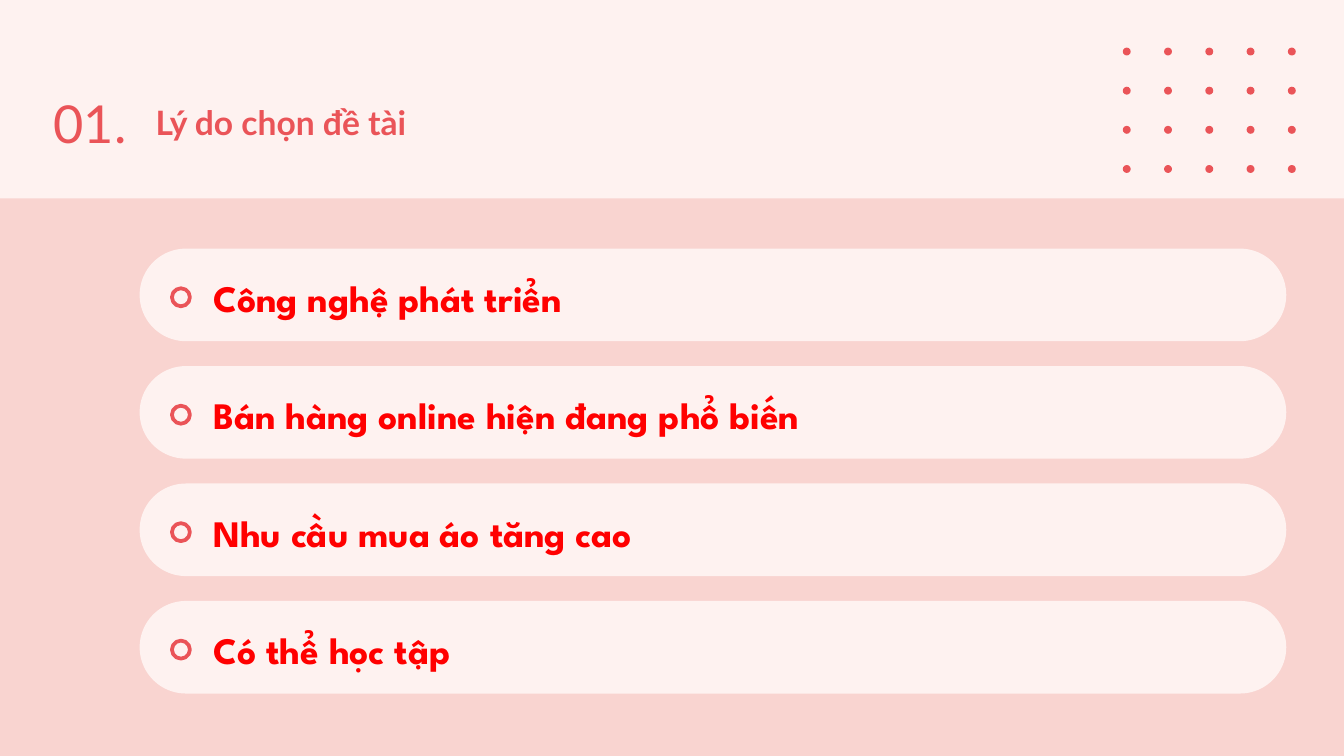
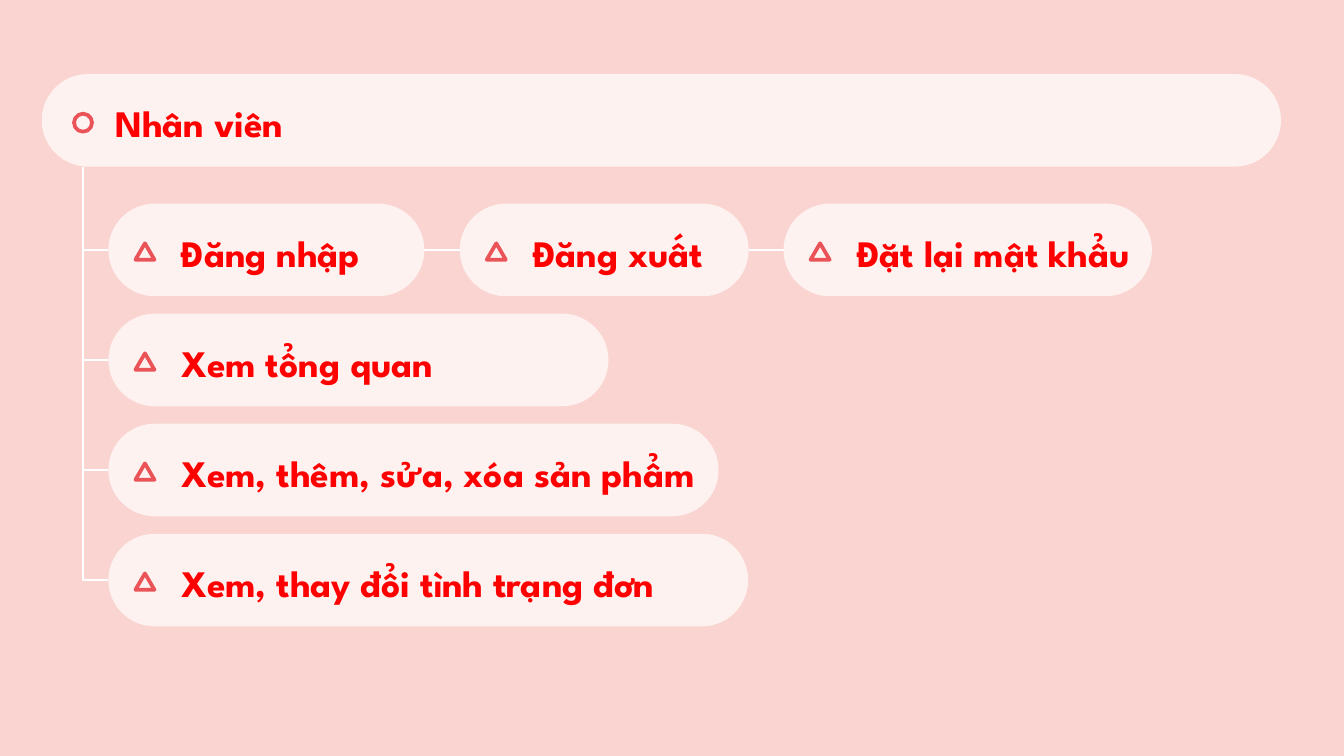
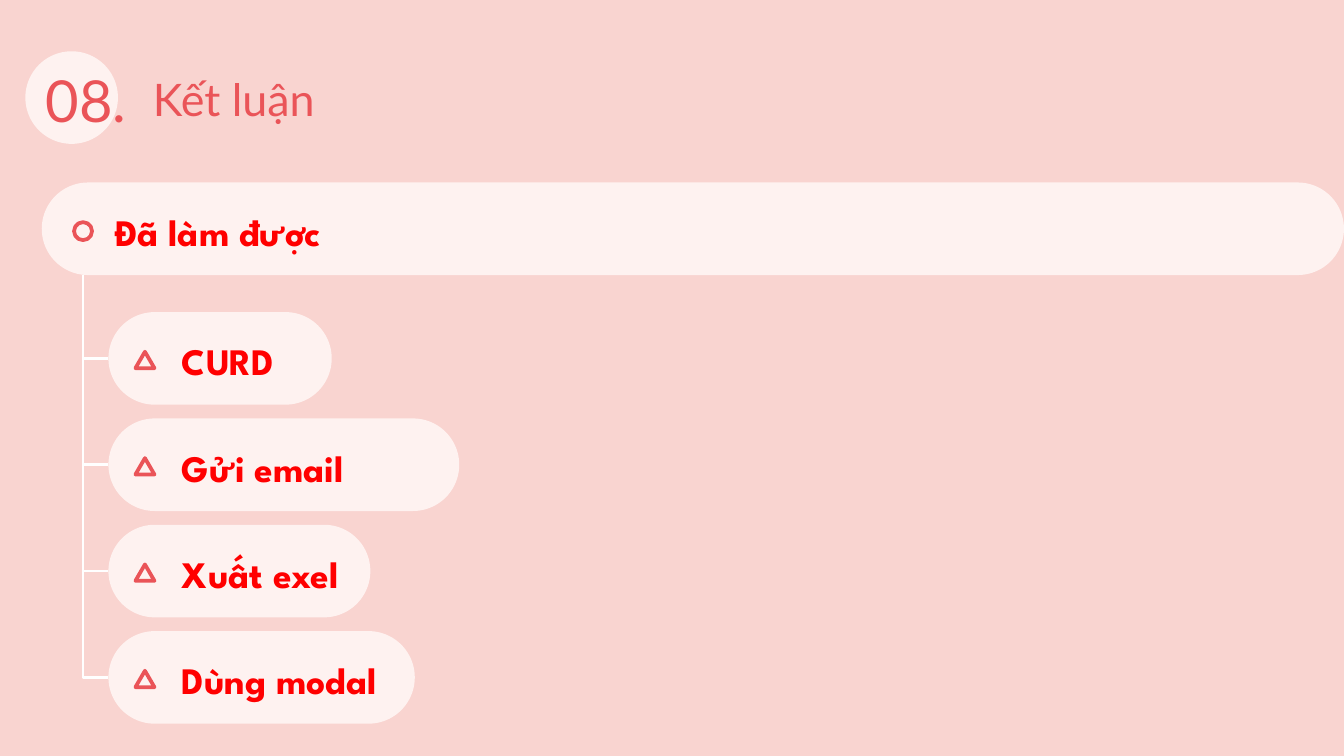
from itertools import product

from lxml import etree
from pptx import Presentation
from pptx.dml.color import RGBColor
from pptx.enum import shapes, text
from pptx.oxml.ns import qn
from pptx.util import Cm, Pt

CREAM = RGBColor(0xFE, 0xF2, 0xF0)
PINK = RGBColor(0xF9, 0xD4, 0xD0)
CORAL = RGBColor(0xEA, 0x54, 0x58)
RED = RGBColor(0xFF, 0x00, 0x00)
WHITE = RGBColor(0xFF, 0xFF, 0xFF)
TITLE_FONT, ITEM_FONT = "Lato", "League Spartan"
SHAPE = shapes.MSO_SHAPE
PILL_HEIGHT = 1.75
CHILD_LEFT = 2.05
CHILD_DROP = 2.45
TRUNK = 1.57


class Outline:
    """Draws pill lists and trees in one pink style, all lengths in centimetres."""

    def __init__(self):
        self.deck = Presentation()
        self.deck.slide_width, self.deck.slide_height = Cm(25.4), Cm(14.29)
        self.page = None

    def new_page(self, band_left, band_top, band_height):
        self.page = self.deck.slides.add_slide(self.deck.slide_layouts[6])
        self.page.background.fill.solid()
        self.page.background.fill.fore_color.rgb = CREAM
        self.shape(SHAPE.RECTANGLE, band_left, band_top, 26.85, band_height, PINK)

    def shape(self, kind, left, top, width, height, fill=None, line=None):
        figure = self.page.shapes.add_shape(kind, Cm(left), Cm(top), Cm(width), Cm(height))
        figure.shadow.inherit = False
        if fill is None:
            figure.fill.background()
        else:
            figure.fill.solid()
            figure.fill.fore_color.rgb = fill
        if line is None:
            figure.line.fill.background()
        else:
            figure.line.color.rgb = line
            figure.line.width = Pt(2)
        return figure

    def label(self, words, left, top, width, height, font, size, color,
              bold=False, align=text.PP_ALIGN.LEFT, inset=None):
        box = self.page.shapes.add_textbox(Cm(left), Cm(top), Cm(width), Cm(height))
        frame = box.text_frame
        frame.word_wrap = True
        frame.vertical_anchor = text.MSO_ANCHOR.MIDDLE
        if inset is not None:
            frame.margin_top = frame.margin_bottom = Cm(inset)
        para = frame.paragraphs[0]
        para.alignment = align
        span = para.add_run()
        span.text = words
        span.font.name, span.font.size, span.font.bold = font, Pt(size), bold
        span.font.color.rgb = color

    def heading(self, number, title, left, top, number_size, title_size, bold=False):
        self.shape(SHAPE.OVAL, left, top, PILL_HEIGHT, PILL_HEIGHT, CREAM)
        self.label(title, left + 2.16, top + 0.19, 9.19, 1.42,
                   TITLE_FONT, title_size, CORAL, bold, inset=0.25)
        self.label(number, 0, top + 0.2, 2.64, 1.42, TITLE_FONT, number_size, CORAL,
                   align=text.PP_ALIGN.RIGHT, inset=0.25)

    def dots(self, left, top):
        for column, row in product(range(5), range(4)):
            self.shape(SHAPE.OVAL, left + column * 0.78, top + row * 0.74, 0.15, 0.15, CORAL)

    def pill(self, words, left, top, width, text_width):
        pill = self.shape(SHAPE.ROUNDED_RECTANGLE, left, top, width, PILL_HEIGHT, CREAM)
        pill.adjustments[0] = 0.5
        self.label(words, left + 1.14, top + 0.36, text_width, 1.12,
                   ITEM_FONT, 20, RED, bold=True)
        return pill

    def main_pill(self, words, left, top, width, text_width=11.89):
        self.pill(words, left, top, width, text_width)
        self.shape(SHAPE.OVAL, left + 0.61, top + 0.75, 0.34, 0.34, line=CORAL)

    def child_pill(self, words, left, top, width, text_width):
        self.shape_below = self.pill(words, left, top, width, text_width)
        self.shape(SHAPE.ISOSCELES_TRIANGLE, left + 0.51, top + 0.75, 0.36, 0.31, line=CORAL)
        return self.shape_below

    def connector(self, kind, left, top, right, bottom):
        link = self.page.shapes.add_connector(kind, Cm(left), Cm(top), Cm(right), Cm(bottom))
        link.line.color.rgb = WHITE
        link.line.width = Pt(1.5)
        etree.SubElement(link._element.spPr, qn("a:effectLst"))
        return link

    def branch(self, start, end):
        middle_x, middle_y = (TRUNK + CHILD_LEFT) / 2, (start + end) / 2
        half_run, half_drop = (CHILD_LEFT - TRUNK) / 2, (end - start) / 2
        link = self.connector(shapes.MSO_CONNECTOR.ELBOW,
                              middle_x - half_drop, middle_y - half_run,
                              middle_x + half_drop, middle_y + half_run)
        frame = link._element.spPr.find(qn("a:xfrm"))
        frame.set("rot", "16200000")
        frame.set("flipH", "1")
        link._element.spPr.find(qn("a:prstGeom")).set("prst", "bentConnector2")

    def join(self, first, second):
        link = self.connector(shapes.MSO_CONNECTOR.STRAIGHT, 0, 0, 1, 1)
        link.begin_connect(first, 3)
        link.end_connect(second, 1)

    def tree(self, root, top, root_width, pitch, children):
        self.main_pill(root, 0.79, top, root_width)
        start = top + PILL_HEIGHT
        pills = []
        for index, (words, width, text_width) in enumerate(children):
            child_top = top + CHILD_DROP + index * pitch
            end = child_top + PILL_HEIGHT / 2
            pills.append(self.child_pill(words, CHILD_LEFT, child_top, width, text_width))
            self.branch(start, end)
            start = end
        return pills


def main():
    outline = Outline()

    outline.new_page(-0.76, 3.75, 11.38)
    outline.dots(21.22, 0.9)
    reasons = ["Công nghệ phát triển", "Bán hàng online hiện đang phổ biến",
               "Nhu cầu mua áo tăng cao", "Có thể học tập"]
    for index, reason in enumerate(reasons):
        outline.main_pill(reason, 2.64, 4.7 + index * 2.22, 21.67, 11.89)
    outline.heading("01.", "Lý do chọn đề tài", 0.53, 1.4, 28, 18, bold=True)

    outline.new_page(-0.03, -0.18, 15.32)
    staff_top = 1.4
    pills = outline.tree("Nhân viên", staff_top, 23.42, 2.08, [
        ("Đăng nhập", 5.97, 4.22),
        ("Xem tổng quan", 9.45, 5.74),
        ("Xem, thêm, sửa, xóa sản phẩm", 11.53, 10.41),
        ("Xem, thay đổi tình trạng đơn", 12.09, 11.79),
    ])
    previous = pills[0]
    for words, left, width, text_width in [("Đăng xuất", 8.69, 5.46, 3.78),
                                           ("Đặt lại mật khẩu", 14.81, 6.96, 5.82)]:
        sibling = outline.child_pill(words, left, staff_top + CHILD_DROP, width, text_width)
        outline.join(previous, sibling)
        previous = sibling

    outline.new_page(-0.03, -0.18, 15.32)
    outline.heading("08.", "Kết luận", 0.48, 0.97, 31, 24)
    outline.tree("Đã làm được", 3.45, 24.61, 2.01, [
        ("CURD", 4.22, 4.22),
        ("Gửi email", 6.63, 5.74),
        ("Xuất exel", 4.95, 4.29),
        ("Dùng modal", 5.79, 4.67),
    ])

    outline.deck.save("out.pptx")


if __name__ == "__main__":
    main()
